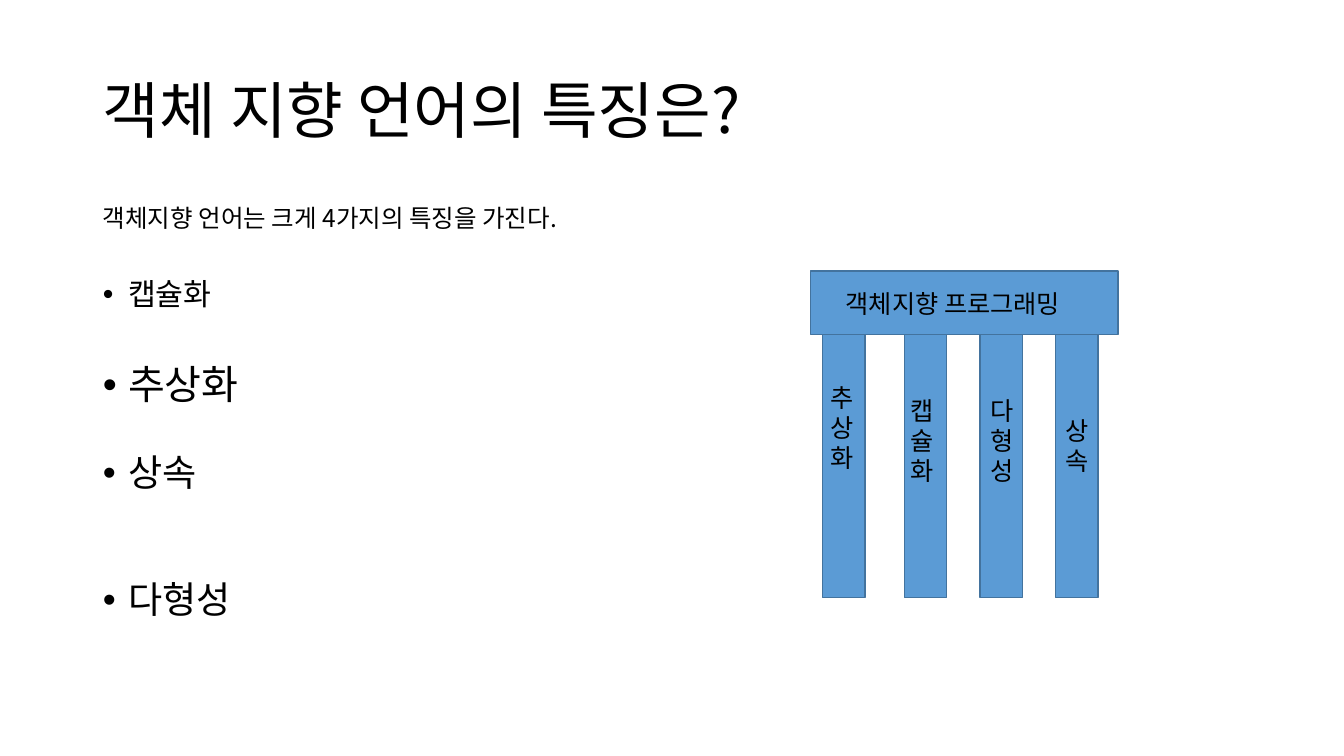
from lxml import etree
from pptx import Presentation, util as u
from pptx.dml import color
from pptx.enum import shapes, text
from pptx.oxml import ns

FONT = "Noto Sans CJK KR"
NOTES = [
    ("객체지향 언어는 크게 4가지의 특징을 가진다.", 17.5, 0, False),
    ("캡슐화", 21.6, 33, True),
    ("추상화", 28.6, 38, True),
    ("상속", 26.5, 33, True),
    ("다형성", 26.5, 62, True),
]
PILLARS = [
    ("추상화", 0.12, 0.1, 1.05),
    ("캡슐화", 0.93, 0.89, 1.18),
    ("다형성", 1.68, 1.69, 1.18),
    ("상속", 2.43, 2.43, 1.38),
]


def tint(code):
    return color.RGBColor.from_string(code)


def apply(item, form):
    for key, val in form.items():
        setattr(item, key, val)


def place(item, box):
    names = ("left", "top", "width", "height")
    apply(item, dict(zip(names, map(u.Inches, box))))


def write(para, words, size):
    run = para.add_run()
    run.text = words
    apply(run.font, {"size": u.Pt(size), "name": FONT})
    run.font.color.rgb = tint("000000")
    east = etree.SubElement(run.font._element, ns.qn("a:ea"))
    east.set("typeface", FONT)


def title(slide, box):
    head = slide.shapes.title
    place(head, box)
    frame = head.text_frame
    apply(frame, {"auto_size": text.MSO_AUTO_SIZE.NONE,
                  "vertical_anchor": text.MSO_ANCHOR.MIDDLE})
    para = frame.paragraphs[0]
    apply(para, {"alignment": text.PP_ALIGN.LEFT, "line_spacing": 0.9})
    write(para, "객체 지향 언어의 특징은?", 44)


def body(slide, box):
    hold = slide.placeholders[1]
    place(hold, box)
    frame = hold.text_frame
    frame.auto_size = text.MSO_AUTO_SIZE.NONE
    for num, (words, size, gap, mark) in enumerate(NOTES):
        para = frame.add_paragraph() if num else frame.paragraphs[0]
        apply(para, {"line_spacing": 0.9, "space_before": u.Pt(gap),
                     "alignment": text.PP_ALIGN.LEFT})
        prop = para._p.get_or_add_pPr()
        prop.set("marL", str(u.Inches(0.25)))
        prop.set("indent", str(u.Inches(-0.25)))
        bullet = etree.SubElement(prop, ns.qn("a:buChar" if mark else "a:buNone"))
        if mark:
            bullet.set("char", "•")
        write(para, words, size)


def block(slide, box):
    rect = slide.shapes.add_shape(shapes.MSO_SHAPE.RECTANGLE, *map(u.Inches, box))
    rect.shadow.inherit = False
    rect.fill.solid()
    rect.fill.fore_color.rgb = tint("5B9BD5")
    rect.line.color.rgb = tint("43739E")
    rect.line.width = u.Pt(1)


def label(slide, box, lines):
    frame = slide.shapes.add_textbox(*map(u.Inches, box)).text_frame
    apply(frame, {"word_wrap": False,
                  "auto_size": text.MSO_AUTO_SIZE.SHAPE_TO_FIT_TEXT})
    for num, words in enumerate(lines):
        para = frame.add_paragraph() if num else frame.paragraphs[0]
        write(para, words, 18)


def temple(slide, box):
    left, top, width, height = box
    roof = 0.63
    for name, side, inset, drop in PILLARS:
        block(slide, (left + side, top + roof, 0.42, height - roof))
    block(slide, (left, top, width, roof))
    label(slide, (left + 0.25, top + 0.12, 2.53, 0.4), ["객체지향 프로그래밍"])
    for name, side, inset, drop in PILLARS:
        tall = 0.1 + 0.3 * len(name)
        label(slide, (left + inset, top + drop, 0.45, tall), name)


def main():
    deck = Presentation()
    apply(deck, {"slide_width": u.Inches(13.33), "slide_height": u.Inches(7.5)})
    slide = deck.slides.add_slide(deck.slide_layouts[1])
    title(slide, (0.92, 0.4, 11.5, 1.45))
    body(slide, (0.92, 2, 11.5, 4.76))
    temple(slide, (8.04, 2.69, 3.05, 3.24))
    deck.save("out.pptx")


if __name__ == "__main__":
    main()
